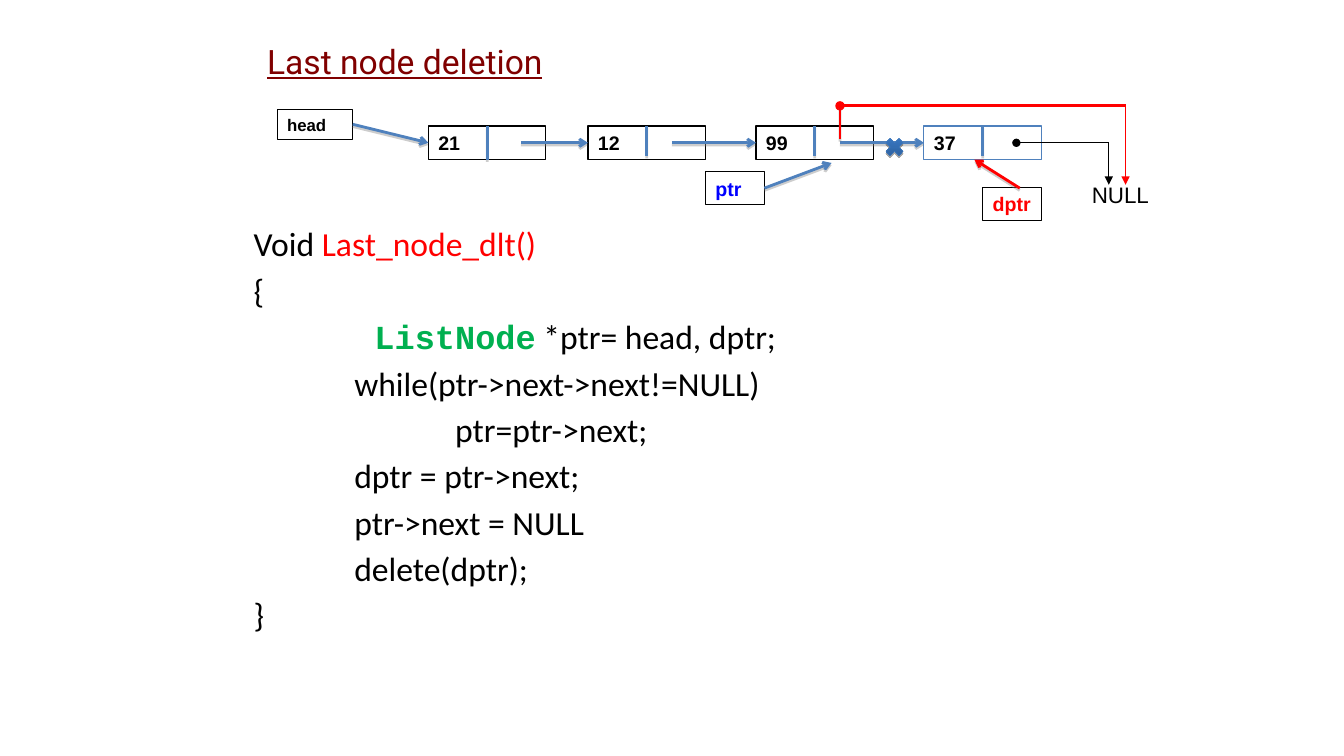
from dataclasses import dataclass
from typing import Optional

from lxml.etree import SubElement
from pptx import Presentation
from pptx.dml.color import RGBColor
from pptx.enum.shapes import MSO_CONNECTOR as Connector, MSO_SHAPE as Shape
from pptx.enum.text import MSO_ANCHOR as Anchor, PP_ALIGN as Align
from pptx.oxml.ns import qn
from pptx.util import Emu, Pt

TOP, LEFT, BOTTOM, RIGHT = range(4)


@dataclass(frozen=True)
class Theme:
    black: str = "000000"
    maroon: str = "800000"
    red: str = "FF0000"
    blue: str = "4F81BD"
    pure_blue: str = "0000FF"
    green: str = "00B050"
    cross_top: str = "3A7CCB"
    cross_bottom: str = "2C5D98"
    cross_edge: str = "4A7EBB"
    shadow: str = "808080"
    heading_font: str = "Roboto"
    body_font: str = "Calibri"
    code_font: str = "Courier New"
    label_font: str = "Arial"
    text_size: float = 24
    null_size: float = 16
    node_size: float = 14
    head_size: float = 12
    code_gap: float = 4.3


T = Theme()


@dataclass(frozen=True)
class Box:
    text: str
    x: int
    y: int
    w: int = 70
    h: int = 40
    color: str = T.black
    edge: str = T.black
    size: float = T.node_size


@dataclass(frozen=True)
class Link:
    x1: int
    y1: int
    x2: int
    y2: int
    color: str = T.blue
    width: float = 2
    head: str = ""
    tail: str = ""
    shadow: bool = True
    begin: Optional[tuple[str, int]] = None
    end: Optional[tuple[str, int]] = None


@dataclass(frozen=True)
class Span:
    text: str
    color: str = T.black
    font: str = T.body_font
    bold: bool = False


NODE_Y, NODE_W, MID_Y = 150, 140, 170
NODES = {"21": 510, "12": 700, "99": 900, "37": 1100}

BOXES = [
    Box("head", 330, 130, 90, 36, size=T.head_size),
    *(Box(value, x, NODE_Y, NODE_W, edge=T.blue if value == "37" else T.black)
      for value, x in NODES.items()),
    Box("ptr", 840, 204, color=T.pure_blue),
    Box("dptr", 1170, 223, color=T.red),
]


def divider(value: str) -> Link:
    x = NODES[value] + NODE_W // 2
    if value == "21":
        return Link(x, NODE_Y, x, 190, begin=(value, TOP), end=(value, BOTTOM))
    return Link(x, NODE_Y, x, 186, begin=(value, TOP))


def next_arrow(start: int, value: str) -> Link:
    return Link(start, MID_Y, NODES[value], MID_Y, tail="arrow", end=(value, LEFT))


LINKS = [
    *(divider(value) for value in NODES),
    Link(1210, MID_Y, 1320, MID_Y, T.black, 1, head="oval", shadow=False),
    Link(1320, MID_Y, 1320, 220, T.black, 1, tail="triangle", shadow=False),
    Link(420, 148, 510, MID_Y, tail="arrow", begin=("head", RIGHT), end=("21", LEFT)),
    next_arrow(620, "12"),
    next_arrow(800, "99"),
    next_arrow(1000, "37"),
    Link(910, 224, 990, 194, tail="arrow", begin=("ptr", RIGHT)),
    Link(1340, 126, 1340, 220, T.red, 1, tail="triangle", shadow=False),
    Link(1000, 126, 1340, 126, T.red, 2.25, head="oval", shadow=False),
    Link(1000, 126, 1000, 166, T.red),
    Link(1214, 224, 1160, 190, T.red, tail="arrow"),
]

CODE = [
    [Span("Void "), Span("Last_node_dlt()", T.red)],
    [Span("{")],
    [Span("\t"), Span(" ListNode", T.green, T.code_font, True), Span(" *ptr= head, dptr;")],
    [Span("\twhile(ptr->next->next!=NULL)")],
    [Span("\t\tptr=ptr->next;")],
    [Span("\tdptr = ptr->next;")],
    [Span("\tptr->next = NULL")],
    [Span("\tdelete(dptr);")],
    [Span("}")],
]


def px(n: int) -> Emu:
    """120 px make one inch."""
    return Emu(n * 7620)


def rgb(color: str) -> RGBColor:
    return RGBColor.from_string(color)


def style(font, name: str, size: float, color: str, bold: bool = False) -> None:
    font.name, font.size, font.bold = name, Pt(size), bold
    font.color.rgb = rgb(color)


def add_effects(sp, shadow: bool, color: str = T.shadow, alpha: int = 38) -> None:
    effects = SubElement(sp._element.spPr, qn("a:effectLst"))
    if shadow:
        outer = SubElement(effects, qn("a:outerShdw"), blurRad="0", dist="20000",
                           dir="5400000", rotWithShape="0")
        clr = SubElement(outer, qn("a:srgbClr"), val=color)
        SubElement(clr, qn("a:alpha"), val=str(alpha * 1000))


def draw_title(slide, text: str) -> None:
    sp = slide.shapes.title
    sp.left, sp.top, sp.width, sp.height = px(260), px(36), px(1080), px(74)
    tf = sp.text_frame
    tf.text = text
    tf.vertical_anchor, tf.margin_left = Anchor.MIDDLE, px(58)
    p = tf.paragraphs[0]
    p.alignment = Align.LEFT
    style(p.runs[0].font, T.heading_font, T.text_size, T.maroon)
    p.runs[0].font.underline = True


def draw_code(slide) -> None:
    tf = slide.shapes.add_textbox(px(290), px(260), px(1050), px(544)).text_frame
    tf.word_wrap = True
    for i, spans in enumerate(CODE):
        p = tf.add_paragraph() if i else tf.paragraphs[0]
        if i:
            p.space_before = Pt(T.code_gap)
        tabs = SubElement(p._p.get_or_add_pPr(), qn("a:tabLst"))
        for stop in (120, 240):
            SubElement(tabs, qn("a:tab"), pos=str(px(stop)), algn="l")
        for span in spans:
            r = p.add_run()
            r.text = span.text
            style(r.font, span.font, T.text_size, span.color, span.bold)


def draw_box(slide, box: Box):
    sp = slide.shapes.add_shape(Shape.RECTANGLE, px(box.x), px(box.y), px(box.w), px(box.h))
    sp.shadow.inherit = False
    sp.fill.background()
    sp.line.color.rgb, sp.line.width = rgb(box.edge), Pt(0.75)
    tf = sp.text_frame
    tf.text = box.text
    tf.vertical_anchor, tf.margin_right = Anchor.MIDDLE, 0
    p = tf.paragraphs[0]
    p.alignment = Align.LEFT
    style(p.runs[0].font, T.label_font, box.size, box.color, True)
    return sp


def draw_link(slide, link: Link, boxes: dict) -> None:
    sp = slide.shapes.add_connector(Connector.STRAIGHT, px(link.x1), px(link.y1),
                                    px(link.x2), px(link.y2))
    sp.line.color.rgb, sp.line.width = rgb(link.color), Pt(link.width)
    for tag, kind in (("a:headEnd", link.head), ("a:tailEnd", link.tail)):
        if kind:
            SubElement(sp.line._get_or_add_ln(), qn(tag), type=kind)
    add_effects(sp, link.shadow)
    if link.begin:
        sp.begin_connect(boxes[link.begin[0]], link.begin[1])
    if link.end:
        sp.end_connect(boxes[link.end[0]], link.end[1])


def draw_null(slide) -> None:
    tf = slide.shapes.add_textbox(px(1288), px(210), px(100), px(44)).text_frame
    tf.word_wrap = True
    tf.text = "NULL"
    style(tf.paragraphs[0].runs[0].font, T.label_font, T.null_size, T.black)


def draw_cross(slide) -> None:
    """Mark the link that is cut."""
    sp = slide.shapes.add_shape(Shape.MATH_MULTIPLY, px(1050), px(160), px(30), px(30))
    sp.fill.gradient()
    sp.fill.gradient_angle = 270
    for stop, color in zip(sp.fill.gradient_stops, (T.cross_top, T.cross_bottom)):
        stop.color.rgb = rgb(color)
    sp.line.color.rgb, sp.line.width = rgb(T.cross_edge), Pt(0.25)
    add_effects(sp, True, T.black, 35)


def main() -> None:
    prs = Presentation()
    prs.slide_width, prs.slide_height = px(1600), px(900)
    slide = prs.slides.add_slide(prs.slide_layouts[5])
    draw_title(slide, "Last node deletion")
    draw_code(slide)
    boxes = {box.text: draw_box(slide, box) for box in BOXES}
    for link in LINKS:
        draw_link(slide, link, boxes)
    draw_null(slide)
    draw_cross(slide)
    prs.save("out.pptx")


if __name__ == "__main__":
    main()
